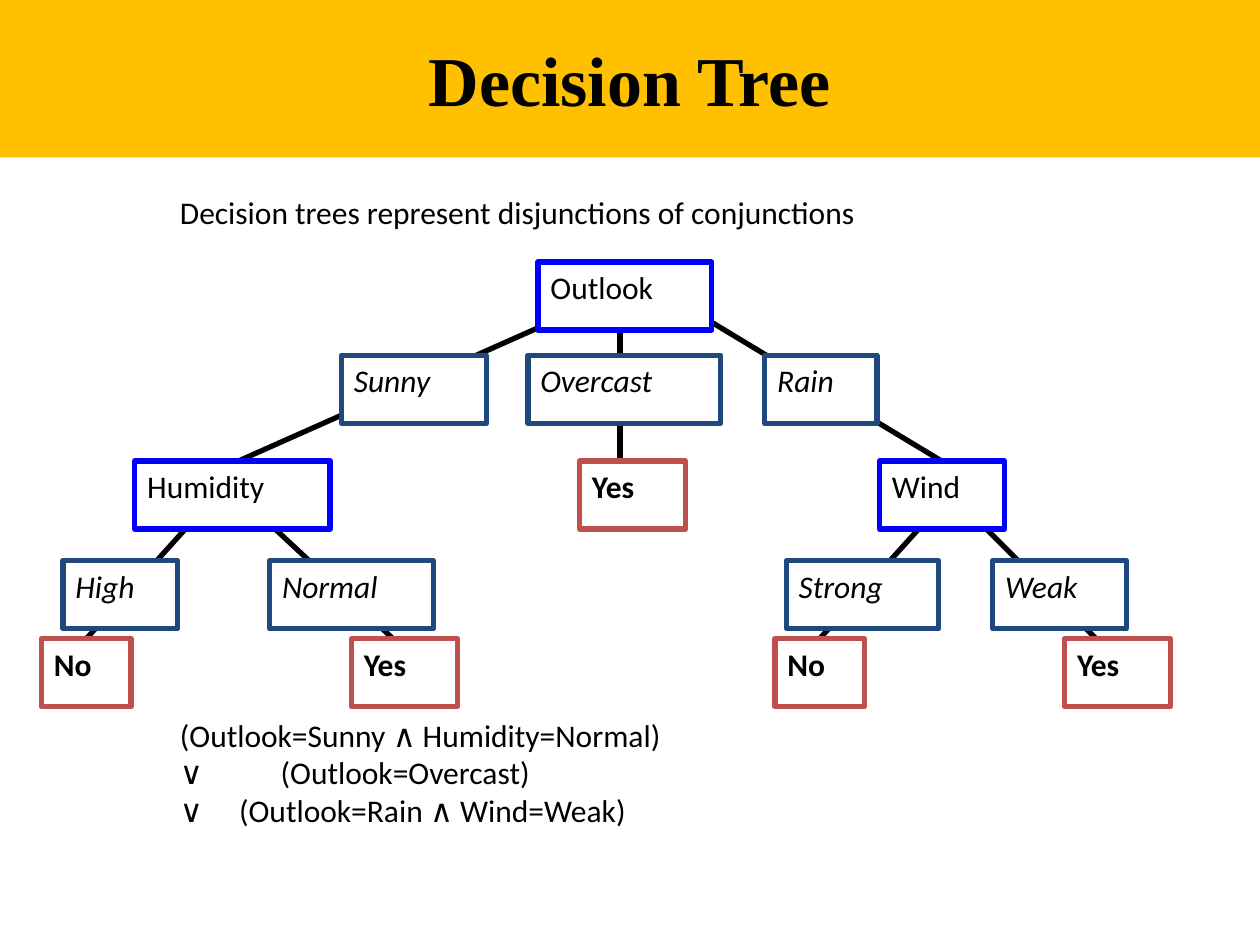
import pptx
import pptx.dml.color
import pptx.enum.shapes
import pptx.enum.text
import pptx.oxml
import pptx.oxml.ns
import pptx.util

Inches = pptx.util.Inches
RGBColor = pptx.dml.color.RGBColor
Align = pptx.enum.text.PP_ALIGN
Anchor = pptx.enum.text.MSO_ANCHOR

BLACK = RGBColor(0x00, 0x00, 0x00)
WHITE = RGBColor(0xFF, 0xFF, 0xFF)
GOLD = RGBColor(0xFF, 0xC0, 0x00)
BLUE = RGBColor(0x00, 0x00, 0xFF)
NAVY = RGBColor(0x1F, 0x49, 0x7D)
RED = RGBColor(0xC0, 0x50, 0x4D)

ROOT, BRANCH, NODE, SPLIT, LEAF = 2.08, 2.82, 3.66, 4.45, 5.07
TOP = 0

TESTS = [("Outlook", 4.27, ROOT, 1.38), ("Humidity", 1.07, NODE, 1.55),
         ("Wind", 6.98, NODE, 0.99)]
VALUES = [("Sunny", 2.71, BRANCH, 1.15), ("Overcast", 4.19, BRANCH, 1.53),
          ("Rain", 6.07, BRANCH, 0.89), ("High", 0.5, SPLIT, 0.91),
          ("Normal", 2.14, SPLIT, 1.3), ("Strong", 6.24, SPLIT, 1.21),
          ("Weak", 7.88, SPLIT, 1.06)]
ANSWERS = [("No", 0.33, LEAF, 0.71), ("Yes", 2.79, LEAF, 0.84),
           ("Yes", 4.6, NODE, 0.84), ("Yes", 8.45, LEAF, 0.84),
           ("No", 6.15, LEAF, 0.71)]
LINKS = [(4.68, 2.42, 1.89, NODE), (5.42, 2.42, 7.47, NODE),
         (1.65, 4, 0.66, LEAF), (1.97, 4, 3.12, LEAF),
         (7.63, 4, 8.7, LEAF), (7.47, 4, 6.48, LEAF),
         (4.92, 2.48, 4.92, NODE)]
RULES = [("(Outlook=Sunny ∧ Humidity=Normal)", None),
         ("∨\t(Outlook=Overcast)", 0.8),
         ("∨\t(Outlook=Rain ∧ Wind=Weak)", 0.47)]


def write(text, para, font="Calibri", size=18, bold=False, slant=False,
          align=Align.LEFT, tab=None):
    para.alignment = align
    if tab:
        props = para._p.get_or_add_pPr()
        stops = pptx.oxml.parse_xml(
            f'<a:tabLst {pptx.oxml.ns.nsdecls("a")}>'
            f'<a:tab pos="{Inches(tab)}" algn="l"/></a:tabLst>')
        props.append(stops)
    run = para.add_run()
    run.text = text
    run.font.name = font
    run.font.size = pptx.util.Pt(size)
    run.font.bold = bold
    run.font.italic = slant
    run.font.color.rgb = BLACK


class Board:
    def __init__(self, slide, width=3):
        self.slide = slide
        self.width = pptx.util.Pt(width)

    def box(self, text, left, top, wide, high=0.54, fill=WHITE, line=None,
            anchor=Anchor.TOP, **form):
        shape = self.slide.shapes.add_shape(
            pptx.enum.shapes.MSO_SHAPE.RECTANGLE,
            Inches(left), Inches(top), Inches(wide), Inches(high))
        shape.shadow.inherit = False
        shape.fill.solid()
        shape.fill.fore_color.rgb = fill
        if line is None:
            shape.line.fill.background()
        else:
            shape.line.color.rgb = line
            shape.line.width = self.width
        frame = shape.text_frame
        frame.word_wrap = True
        frame.vertical_anchor = anchor
        write(text, frame.paragraphs[0], **form)
        return shape

    def note(self, lines, left, top, wide, high):
        shape = self.slide.shapes.add_textbox(
            Inches(left), Inches(top), Inches(wide), Inches(high))
        frame = shape.text_frame
        frame.word_wrap = True
        for index, (text, tab) in enumerate(lines):
            para = frame.add_paragraph() if index else frame.paragraphs[0]
            write(text, para, tab=tab)

    def link(self, *ends):
        line = self.slide.shapes.add_connector(
            pptx.enum.shapes.MSO_CONNECTOR.STRAIGHT,
            *(Inches(end) for end in ends))
        line.line.color.rgb = BLACK
        line.line.width = self.width
        props = line._element.spPr
        props.append(props.makeelement(pptx.oxml.ns.qn("a:effectLst"), {}))
        return line


def main():
    deck = pptx.Presentation()
    deck.slide_width = Inches(10)
    deck.slide_height = Inches(7.5)
    board = Board(deck.slides.add_slide(deck.slide_layouts[6]))

    board.box("Decision Tree", 0, 0, 10, 1.25, fill=GOLD,
              anchor=Anchor.MIDDLE, font="Times New Roman", size=40,
              bold=True, align=Align.CENTER)
    board.note([("Decision trees represent disjunctions of conjunctions",
                 None)], 1.33, 1.48, 5.63, 0.4)

    links = [board.link(*ends) for ends in LINKS]
    tests = [board.box(*spot, line=BLUE) for spot in TESTS]
    for spot in VALUES:
        board.box(*spot, line=NAVY, slant=True)
    leaves = [board.box(*spot, line=RED, bold=True) for spot in ANSWERS]

    links[1].end_connect(tests[2], TOP)
    links[2].end_connect(leaves[0], TOP)
    links[5].end_connect(leaves[4], TOP)

    board.note(RULES, 1.33, 5.63, 5.86, 1.3)
    deck.save("out.pptx")


if __name__ == "__main__":
    main()
